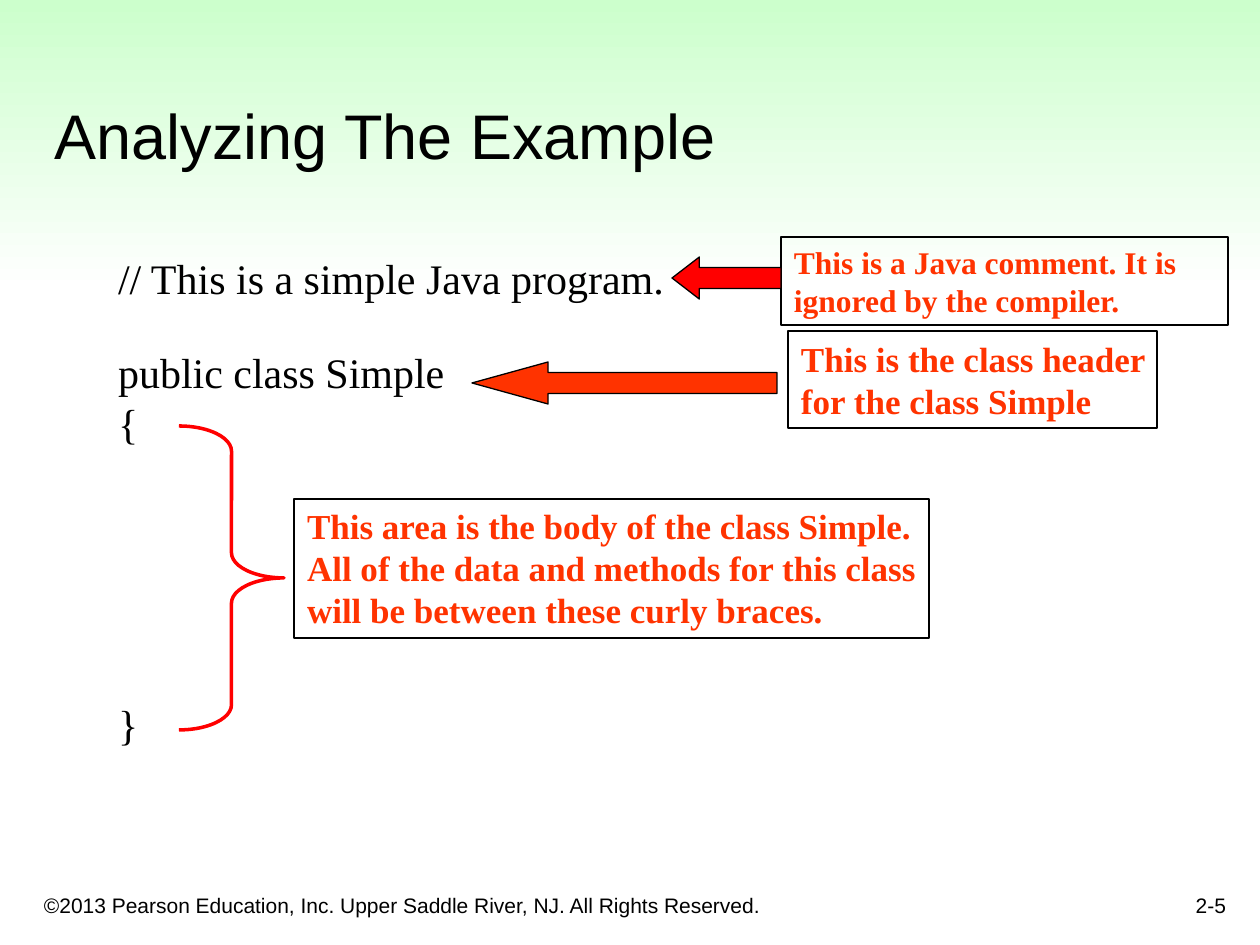
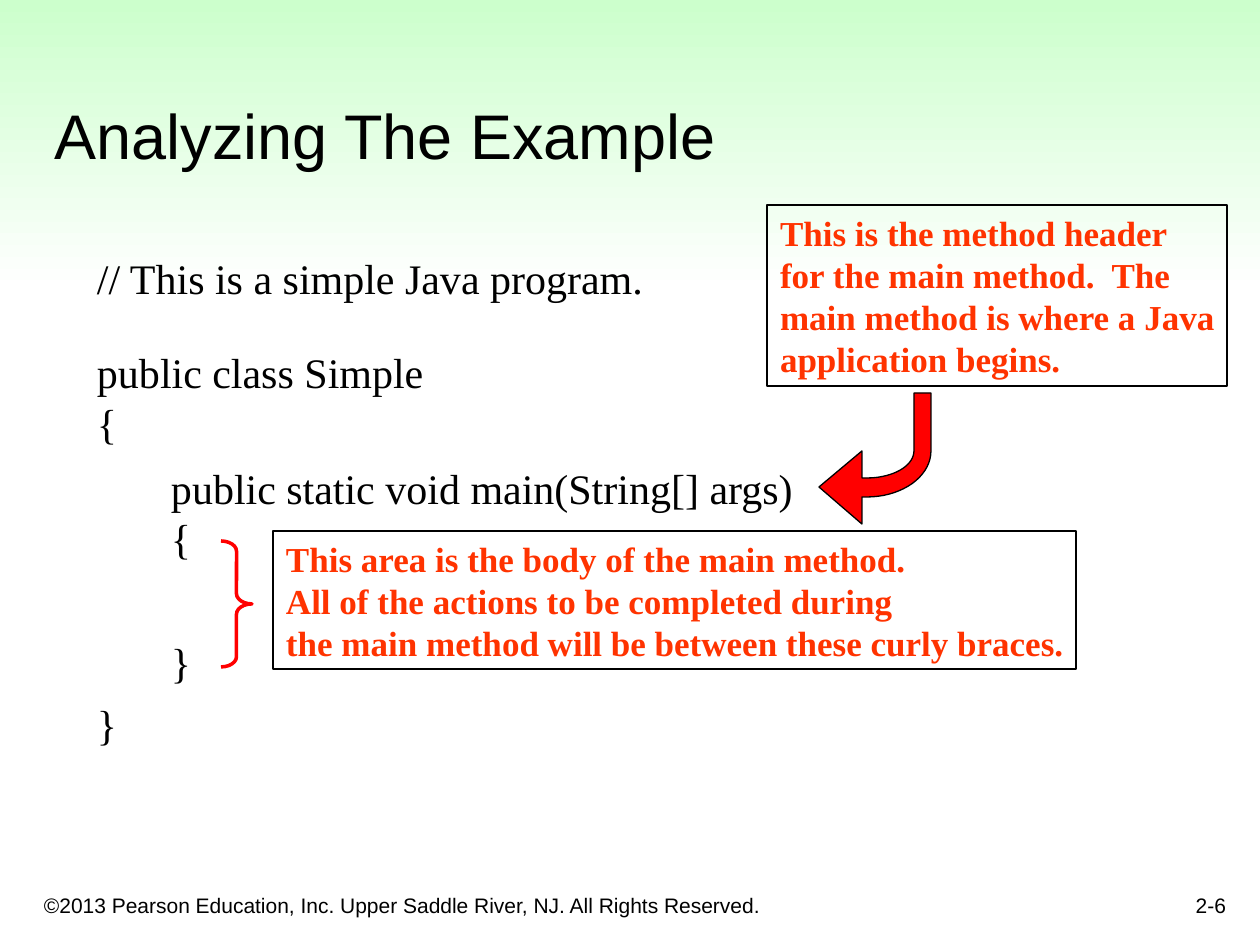
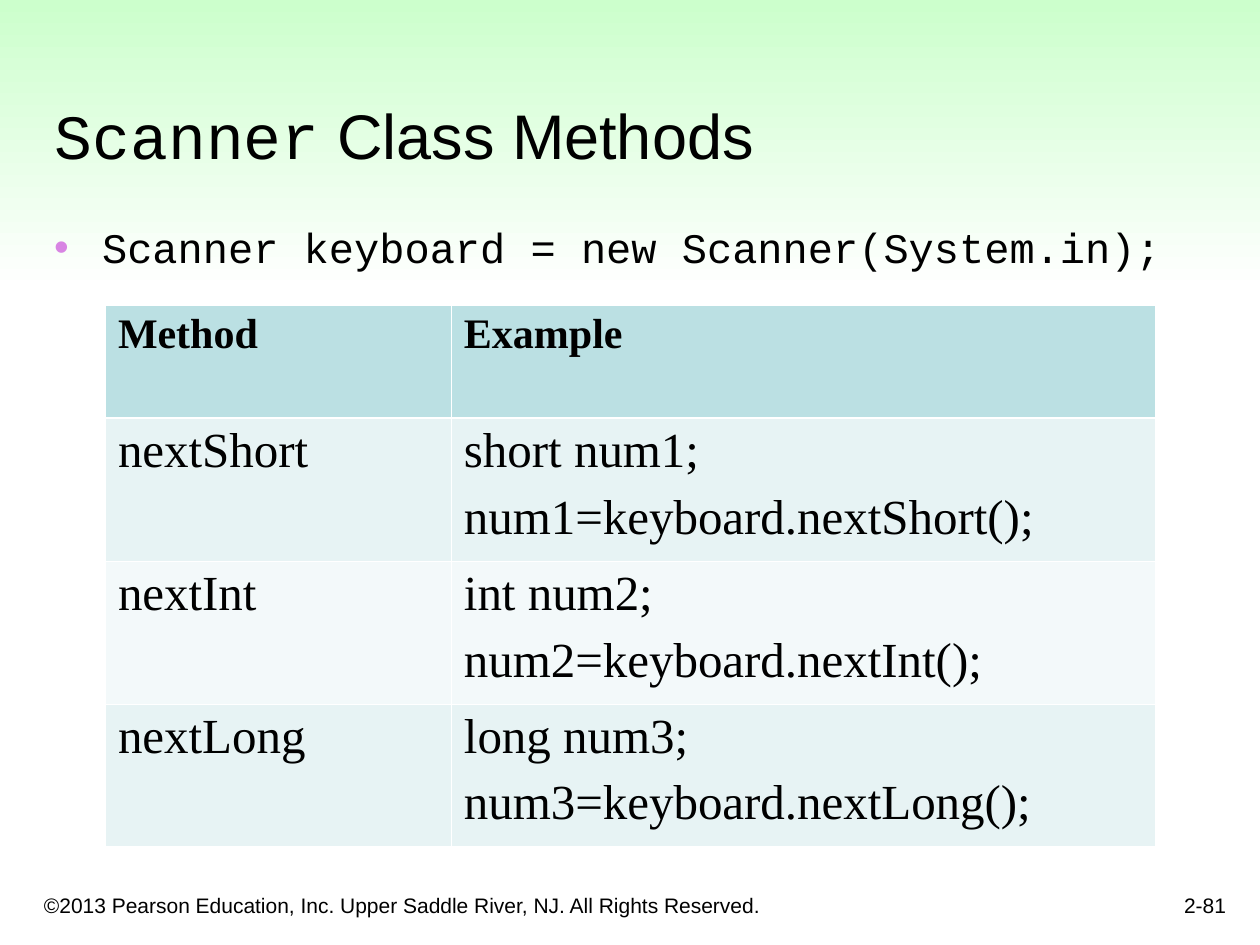
import math
from dataclasses import dataclass
from typing import Any

from lxml import etree
from pptx import Presentation
from pptx import util as u
from pptx.dml.color import RGBColor
from pptx.enum import shapes, text
from pptx.oxml.ns import qn

PX = 914400 / 126
COLORS = {
    "ink": "000000", "paper": "FFFFFF", "mint": "CCFFCC", "note": "FF3300",
    "red": "FF0000", "bullet": "D885E3", "header": "BBE0E3",
    "row": "E7F3F4", "row_alt": "F3F9FA",
}
SANS, SERIF, MONO = "Arial", "Times New Roman", "Courier New"
COPYRIGHT = "©2013 Pearson Education, Inc. Upper Saddle River, NJ. All Rights Reserved."
INSETS = {"margin_left": 13, "margin_right": 13, "margin_top": 6, "margin_bottom": 6}


@dataclass(frozen=True)
class Style:
    font: str = SERIF
    size: int = 24
    color: str = "ink"
    bold: bool = False


@dataclass(frozen=True)
class Line:
    words: str
    before: int = 0


@dataclass(frozen=True)
class Code:
    at: tuple[int, int, int, int]
    lines: tuple[Line, ...]


@dataclass(frozen=True)
class Note:
    at: tuple[int, int, int, int]
    lines: tuple[str, ...]
    size: int = 20


@dataclass(frozen=True)
class Preset:
    kind: Any
    at: tuple[int, int, int, int]
    adjust: tuple[float, ...]
    line: str
    weight: float
    fill: str | None = None


TITLE = Style(SANS, 36)
FOOTER = Style(SANS, 12)
CODE = Style()


def px(value: float) -> int:
    return round(value * PX)


def rgb(name: str) -> RGBColor:
    return RGBColor.from_string(COLORS[name])


def put(target: Any, values: dict) -> None:
    for name, value in values.items():
        setattr(target, name, value)


def add_span(para, words: str, style: Style) -> None:
    span = para.add_run()
    span.text = words
    put(span.font, {"name": style.font, "size": u.Pt(style.size), "bold": style.bold})
    span.font.color.rgb = rgb(style.color)


def fill_frame(frame, lines, style: Style, **para_format) -> None:
    """Write one paragraph per line."""
    for index, line in enumerate(lines):
        para = frame.add_paragraph() if index else frame.paragraphs[0]
        put(para, {"space_before": u.Pt(line.before), **para_format})
        add_span(para, line.words, style)


def add_box(page, at, anchor=text.MSO_ANCHOR.TOP, **insets):
    box = page.shapes.add_textbox(*map(px, at))
    margins = {name: px(value) for name, value in (INSETS | insets).items()}
    put(box.text_frame, {"word_wrap": True, "vertical_anchor": anchor, **margins})
    return box


def paint(shape, line: str, weight: float, fill: str | None) -> None:
    shape.shadow.inherit = False
    shape.line.color.rgb = rgb(line)
    shape.line.width = u.Pt(weight)
    if fill:
        shape.fill.solid()
        shape.fill.fore_color.rgb = rgb(fill)
    else:
        shape.fill.background()


def add_code(page, code: Code) -> None:
    box = add_box(page, code.at, margin_right=0)
    fill_frame(box.text_frame, code.lines, CODE)


def add_note(page, note: Note) -> None:
    box = add_box(page, note.at, margin_right=0)
    paint(box, "ink", 0.75, None)
    fill_frame(box.text_frame, [Line(words) for words in note.lines],
               Style(size=note.size, color="note", bold=True))


def add_preset(page, preset: Preset) -> None:
    shape = page.shapes.add_shape(preset.kind, *map(px, preset.at))
    for index, value in enumerate(preset.adjust):
        shape.adjustments[index] = value
    paint(shape, preset.line, preset.weight, preset.fill)


def left_arrow(at, head: float, fill: str) -> Preset:
    return Preset(shapes.MSO_SHAPE.LEFT_ARROW, at, (0.5, head), "ink", 0.75, fill)


def brace(at, curve: float) -> Preset:
    return Preset(shapes.MSO_SHAPE.RIGHT_BRACE, at, (curve, 0.5), "red", 2)


def add_curved_arrow(page) -> None:
    """Arrow that drops from the note and bends left to the method header."""
    def bend(rx: int, ry: int) -> list[tuple[float, float]]:
        angles = [math.radians(step * 5) for step in range(19)]
        return [(867 + rx * math.sin(a), 451 + ry * math.cos(a)) for a in angles]

    outline = [(819, 487), (862, 524), (862, 497), *bend(64, 46),
               (931, 393), (914, 393), *reversed(bend(47, 27)), (862, 478), (862, 451)]
    points = [(px(x), px(y)) for x, y in outline]
    builder = page.shapes.build_freeform(*points[0], scale=1.0)
    builder.add_line_segments(points[1:], close=True)
    paint(builder.convert_to_shape(), "ink", 0.75, "red")


def add_page(deck, title: list[tuple[str, str]], number: str):
    """Add a page with the band, title and footer that all pages share."""
    page = deck.slides.add_slide(deck.slide_layouts[6])
    band = page.shapes.add_shape(shapes.MSO_SHAPE.RECTANGLE, 0, 0, px(1260), px(292))
    band.shadow.inherit = False
    band.line.fill.background()
    band.fill.gradient()
    band.fill.gradient_angle = 270
    for stop, color in zip(band.fill.gradient_stops, ("mint", "paper")):
        stop.color.rgb = rgb(color)

    bottom = text.MSO_ANCHOR.BOTTOM
    heading = add_box(page, (42, 41, 1187, 137), bottom)
    for words, font in title:
        add_span(heading.text_frame.paragraphs[0], words, Style(font, TITLE.size))
    rights = add_box(page, (31, 871, 766, 53), bottom)
    fill_frame(rights.text_frame, [Line(COPYRIGHT)], FOOTER)
    folio = add_box(page, (977, 861, 262, 63), bottom)
    fill_frame(folio.text_frame, [Line(number)], FOOTER, alignment=text.PP_ALIGN.RIGHT)
    return page


def add_bullet(page, words: str) -> None:
    box = add_box(page, (41, 221, 1143, 630), margin_right=0)
    para = box.text_frame.paragraphs[0]
    props = para._p.get_or_add_pPr()
    for name, value in {"marL": px(48), "indent": -px(48)}.items():
        props.set(name, str(value))
    tint = etree.SubElement(props, qn("a:buClr"))
    etree.SubElement(tint, qn("a:srgbClr"), val=COLORS["bullet"])
    etree.SubElement(props, qn("a:buFont"), typeface=SANS)
    etree.SubElement(props, qn("a:buChar"), char="•")
    para.line_spacing = 0.9
    add_span(para, words, Style(MONO))


def set_borders(cell, widths: dict[str, float]) -> None:
    props = cell._tc.get_or_add_tcPr()
    for index, (side, width) in enumerate(widths.items()):
        edge = etree.Element(qn(f"a:{side}"), w=str(u.Pt(width)))
        solid = etree.SubElement(edge, qn("a:solidFill"))
        etree.SubElement(solid, qn("a:srgbClr"), val=COLORS["paper"])
        props.insert(index, edge)


def add_methods_table(page, rows: list[tuple[str, ...]]) -> None:
    """Each row holds a method name and the lines of its example."""
    widths, heights = (346, 704), (113, 143, 143, 143)
    frame = page.shapes.add_table(len(rows), len(widths), px(105), px(305),
                                  px(sum(widths)), px(sum(heights)))
    table = frame.table
    for column, width in zip(table.columns, widths):
        column.width = px(width)
    for index, (name, *example) in enumerate(rows):
        table.rows[index].height = px(heights[index])
        color = "row" if index % 2 else "row_alt"
        style = Style(size=28) if index else Style(bold=True)
        for column, words in enumerate(([name], example)):
            cell = table.cell(index, column)
            cell.fill.solid()
            cell.fill.fore_color.rgb = rgb(color if index else "header")
            put(cell, {side: px(value) for side, value in INSETS.items()})
            set_borders(cell, {"lnL": 0.45, "lnR": 0.45,
                               "lnT": 1.47 if index == 1 else 0.45,
                               "lnB": 0.45 if index else 1.47})
            lines = [Line(part, 7 if place else 0) for place, part in enumerate(words)]
            fill_frame(cell.text_frame, lines, style)


def add_simple_class(page, left: int) -> None:
    """Comment and empty class that both analysis pages start from."""
    add_code(page, Code((left, 247, 572, 63), (Line("// This is a simple Java program."),)))
    add_code(page, Code((left, 341, 410, 416),
                        (Line("public class Simple"), Line("{"), Line("}", 143))))


def build_class_page(deck) -> None:
    page = add_page(deck, [("Analyzing The Example", SANS)], "2-5")
    add_simple_class(page, 105)
    for note in (
        Note((294, 499, 635, 139), ("This area is the body of the class Simple.",
                                    "All of the data and methods for this class",
                                    "will be between these curly braces.")),
        Note((781, 237, 447, 88),
             ("This is a Java comment. It is ignored by the compiler.",), 18),
        Note((788, 331, 369, 97), ("This is the class header", "for the class Simple")),
    ):
        add_note(page, note)
    for preset in (
        brace((179, 426, 105, 304), 0.24),
        left_arrow((672, 257, 109, 42), 0.65, "red"),
        left_arrow((472, 362, 305, 42), 1.81, "note"),
    ):
        add_preset(page, preset)


def build_method_page(deck) -> None:
    page = add_page(deck, [("Analyzing The Example", SANS)], "2-6")
    add_simple_class(page, 84)
    add_code(page, Code((158, 456, 648, 296),
                        (Line("public static void main(String[] args)"),
                         Line("{"), Line("}", 42))))
    for note in (
        Note((273, 531, 803, 138), ("This area is the body of the main method.",
                                    "All of the actions to be completed during",
                                    "the main method will be between these curly braces.")),
        Note((767, 205, 460, 181), ("This is the method header", "for the main method.  The",
                                    "main method is where a Java", "application begins.")),
    ):
        add_note(page, note)
    add_preset(page, brace((221, 541, 31, 126), 0.33))
    add_curved_arrow(page)


def build_scanner_page(deck) -> None:
    page = add_page(deck, [("Scanner", MONO), (" Class Methods", SANS)], "2-81")
    add_bullet(page, "Scanner keyboard = new Scanner(System.in);")
    add_methods_table(page, [
        ("Method", "Example"),
        ("nextShort", "short num1;", "num1=keyboard.nextShort();"),
        ("nextInt", "int num2;", "num2=keyboard.nextInt();"),
        ("nextLong", "long num3;", "num3=keyboard.nextLong();"),
    ])


def main() -> None:
    deck = Presentation()
    put(deck, {"slide_width": px(1260), "slide_height": px(945)})
    for build in (build_class_page, build_method_page, build_scanner_page):
        build(deck)
    deck.save("out.pptx")


if __name__ == "__main__":
    main()
